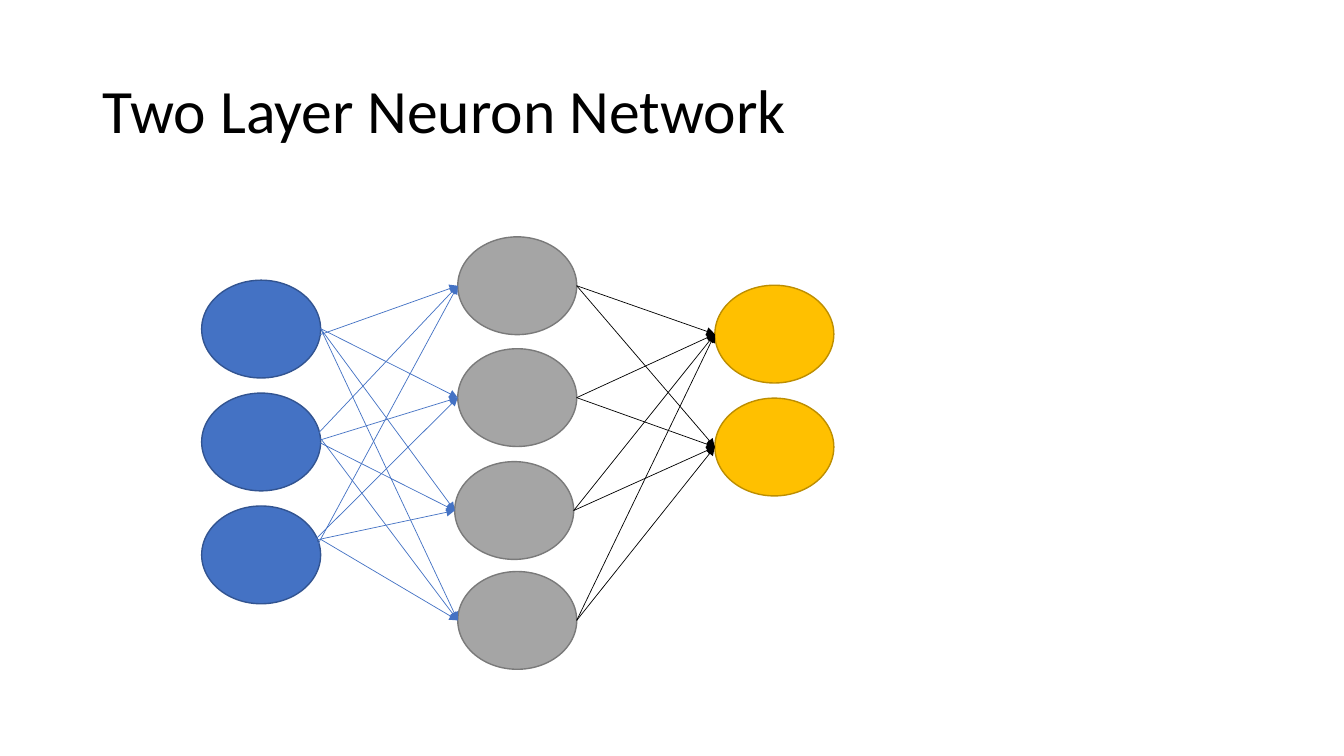
from itertools import product

from pptx import Presentation
from pptx.dml.color import RGBColor
from pptx.enum.shapes import MSO_CONNECTOR, MSO_SHAPE
from pptx.enum.text import MSO_ANCHOR, PP_ALIGN
from pptx.oxml.ns import qn
from pptx.util import Inches, Pt
from lxml import etree

OVAL = MSO_SHAPE.OVAL
STRAIGHT = MSO_CONNECTOR.STRAIGHT
LEFT = PP_ALIGN.LEFT
MIDDLE = MSO_ANCHOR.MIDDLE

BLACK = RGBColor(0x00, 0x00, 0x00)
BLUE = RGBColor(0x44, 0x72, 0xC4)
DARK_BLUE = RGBColor(0x32, 0x54, 0x91)
GRAY = RGBColor(0xA5, 0xA5, 0xA5)
DARK_GRAY = RGBColor(0x7A, 0x7A, 0x7A)
GOLD = RGBColor(0xFF, 0xC0, 0x00)
DARK_GOLD = RGBColor(0xBD, 0x8E, 0x00)

NODE_W, NODE_H = 1.18, 0.97
INPUT_NODES = [(2, 2.78 + 1.12 * i) for i in range(3)]
HIDDEN_NODES = [(4.54, 2.35), (4.54, 3.46), (4.51, 4.58), (4.54, 5.67)]
OUTPUT_NODES = [(7.09, 2.83 + 1.12 * i) for i in range(2)]

INPUT_LINK_STARTS = [
    [(2.98, 3.39), (3.18, 3.26), (3.18, 3.26), (3.18, 3.26)],
    [(3.08, 4.38), (3.03, 4.41), (3.03, 4.32), (3.18, 4.35)],
    [(2.98, 5.72), (2.83, 5.65), (3.03, 5.38), (3.18, 5.35)],
]


def set_title(slide, text):
    sp = slide.shapes.title
    sp.left, sp.top = Inches(0.92), Inches(0.4)
    sp.width, sp.height = Inches(11.5), Inches(1.45)
    tf = sp.text_frame
    tf.text = text
    tf.vertical_anchor = MIDDLE
    p = tf.paragraphs[0]
    p.alignment = LEFT
    p.line_spacing = 0.9
    p.font.name = "Calibri"
    p.font.size = Pt(44)
    p.font.color.rgb = BLACK


def add_layer(slide, nodes, fill, outline):
    for x, y in nodes:
        sp = slide.shapes.add_shape(
            OVAL, Inches(x), Inches(y), Inches(NODE_W), Inches(NODE_H))
        sp.shadow.inherit = False
        sp.fill.solid()
        sp.fill.fore_color.rgb = fill
        sp.line.color.rgb = outline
        sp.line.width = Pt(1)


def left_point(node):
    return node[0], node[1] + NODE_H / 2


def right_point(node):
    return node[0] + NODE_W, node[1] + NODE_H / 2


def add_arrow(slide, start, end, color):
    points = [Inches(v) for v in (*start, *end)]
    cxn = slide.shapes.add_connector(STRAIGHT, *points)
    cxn.line.color.rgb = color
    cxn.line.width = Pt(0.5)
    ln = cxn.line._get_or_add_ln()
    etree.SubElement(ln, qn("a:tailEnd"), type="triangle")
    etree.SubElement(cxn._element.spPr, qn("a:effectLst"))


def main():
    prs = Presentation()
    prs.slide_width, prs.slide_height = Inches(13.33), Inches(7.5)
    slide = prs.slides.add_slide(prs.slide_layouts[5])
    set_title(slide, "Two Layer Neuron Network")

    add_layer(slide, INPUT_NODES, BLUE, DARK_BLUE)
    add_layer(slide, HIDDEN_NODES, GRAY, DARK_GRAY)
    add_layer(slide, OUTPUT_NODES, GOLD, DARK_GOLD)

    for starts in INPUT_LINK_STARTS:
        for start, hidden in zip(starts, HIDDEN_NODES):
            add_arrow(slide, start, left_point(hidden), BLUE)
    for hidden, output in product(HIDDEN_NODES, OUTPUT_NODES):
        add_arrow(slide, right_point(hidden), left_point(output), BLACK)

    prs.save("out.pptx")


main()
